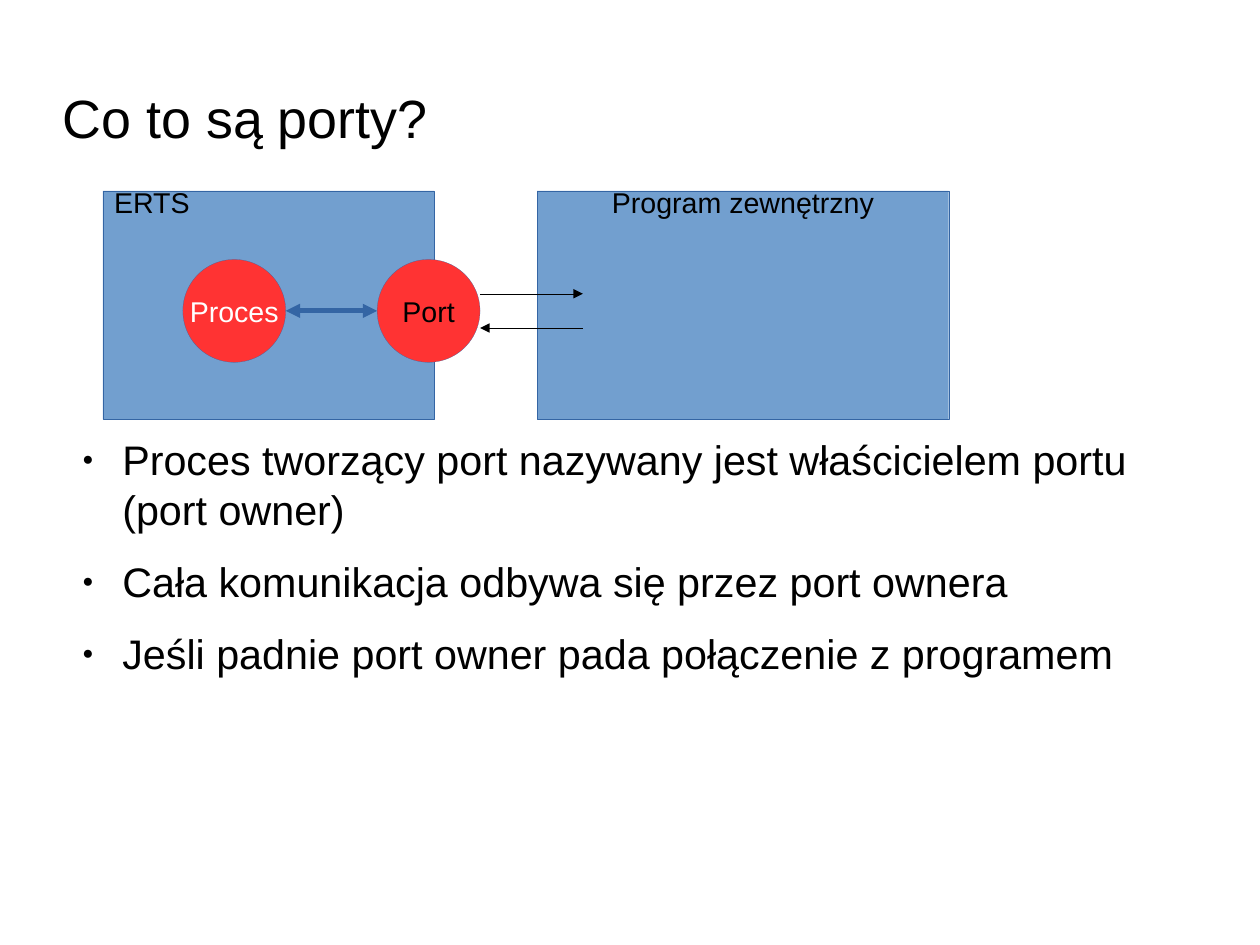
from lxml import etree
from pptx import Presentation
from pptx.dml.color import RGBColor
from pptx.enum.shapes import MSO_CONNECTOR, MSO_SHAPE
from pptx.enum.text import MSO_ANCHOR, PP_ALIGN
from pptx.oxml.ns import qn
from pptx.util import Inches, Pt

STRAIGHT = MSO_CONNECTOR.STRAIGHT
RECTANGLE, OVAL = MSO_SHAPE.RECTANGLE, MSO_SHAPE.OVAL
TOP, MIDDLE = MSO_ANCHOR.TOP, MSO_ANCHOR.MIDDLE
LEFT, CENTER = PP_ALIGN.LEFT, PP_ALIGN.CENTER

BLACK = RGBColor(0x00, 0x00, 0x00)
WHITE = RGBColor(0xFF, 0xFF, 0xFF)
PALE_BLUE = RGBColor(0x72, 0x9F, 0xCF)
DARK_BLUE = RGBColor(0x34, 0x65, 0xA4)
RED = RGBColor(0xFF, 0x33, 0x33)

FONT = "Arial"
HAIRLINE = 0.1
CM_PER_INCH = 2.54
BULLETS = [
    "Proces tworzący port nazywany jest właścicielem portu (port owner)",
    "Cała komunikacja odbywa się przez port ownera",
    "Jeśli padnie port owner pada połączenie z programem",
]


def style_text(para, size, color, align=LEFT):
    """Set the alignment of a paragraph and the font of its runs."""
    para.alignment = align
    for span in para.runs:
        span.font.name = FONT
        span.font.size = Pt(size)
        span.font.color.rgb = color


def add_text_frame(page, left, top, width, height):
    """Add a wrapping text box without margins and return its frame."""
    box = page.shapes.add_textbox(Inches(left), Inches(top), Inches(width), Inches(height))
    frame = box.text_frame
    frame.word_wrap = True
    frame.margin_left = frame.margin_right = 0
    frame.margin_top = frame.margin_bottom = 0
    return frame


def add_node(page, kind, left, top, width, height, fill, label, color=BLACK, align=CENTER):
    """Add a filled shape with a hairline border, labelled at the top if it is a rectangle."""
    node = page.shapes.add_shape(kind, Inches(left), Inches(top), Inches(width), Inches(height))
    node.shadow.inherit = False
    node.fill.solid()
    node.fill.fore_color.rgb = fill
    node.line.color.rgb = DARK_BLUE
    node.line.width = Pt(HAIRLINE)
    frame = node.text_frame
    frame.text = label
    frame.margin_top = frame.margin_bottom = 0
    para = frame.paragraphs[0]
    style_text(para, 18, color, align)
    if kind == RECTANGLE:
        frame.word_wrap = True
        frame.vertical_anchor = TOP
        para.line_spacing = 0.82
    else:
        frame.word_wrap = False
        frame.vertical_anchor = MIDDLE


def add_arrow(page, start, end, y, color=BLACK, width=HAIRLINE, ends=("tailEnd",)):
    """Add a horizontal arrow with triangles at the named ends."""
    arrow = page.shapes.add_connector(STRAIGHT, Inches(start), Inches(y), Inches(end), Inches(y))
    arrow.line.color.rgb = color
    arrow.line.width = Pt(width)
    line = arrow.line._get_or_add_ln()
    for end_name in ends:
        etree.SubElement(line, qn(f"a:{end_name}"), type="triangle")
    etree.SubElement(arrow._element.spPr, qn("a:effectLst"))


def add_title(page, left, top, width, height):
    """Add the slide title, centred vertically in its box."""
    frame = add_text_frame(page, left, top, width, height)
    frame.vertical_anchor = MIDDLE
    frame.text = "Co to są porty?"
    style_text(frame.paragraphs[0], 33.9, BLACK)


def add_diagram(page, left, top, height):
    """Add the runtime, its process and port, and the external program."""
    runtime_width, program_width, gap = 2.9, 3.6, 0.9
    diameter = 0.9
    circle_top = top + 0.6
    process_left = left + 0.7
    port_left = left + 2.4
    process_right = process_left + diameter
    port_right = port_left + diameter
    middle = circle_top + diameter / 2

    add_node(page, RECTANGLE, left, top, runtime_width, height, PALE_BLUE, "ERTS", align=LEFT)
    add_node(page, RECTANGLE, left + runtime_width + gap, top, program_width, height,
             PALE_BLUE, "Program zewnętrzny")
    add_node(page, OVAL, process_left, circle_top, diameter, diameter, RED, "Proces", WHITE)
    add_node(page, OVAL, port_left, circle_top, diameter, diameter, RED, "Port")

    add_arrow(page, process_right, port_left, middle, DARK_BLUE, 3, ("headEnd", "tailEnd"))
    add_arrow(page, port_right, port_right + gap, middle - 0.15)
    add_arrow(page, port_right + gap, port_right, middle + 0.15)


def add_bullets(page, left, top, width, height):
    """Add the bulleted statements about ports."""
    frame = add_text_frame(page, left, top, width, height)
    frame.text = "\n".join(BULLETS)
    for para in frame.paragraphs:
        style_text(para, 26, BLACK)
        para.space_after = Pt(14.2)
        properties = para._p.get_or_add_pPr()
        properties.set("marL", str(Inches(0.47)))
        properties.set("indent", str(Inches(-0.35)))
        etree.SubElement(properties, qn("a:buSzPct"), val="45000")
        etree.SubElement(properties, qn("a:buFont"), typeface=FONT)
        etree.SubElement(properties, qn("a:buChar"), char="●")


def main():
    """Build the slide and save the deck."""
    deck = Presentation()
    deck.slide_width = Inches(28 / CM_PER_INCH)
    deck.slide_height = Inches(21 / CM_PER_INCH)
    page = deck.slides.add_slide(deck.slide_layouts[6])
    add_title(page, 0.55, 0.63, 7.87, 0.79)
    add_diagram(page, 0.9, 1.67, 2)
    add_bullets(page, 0.6, 3.8, 9.92, 3.69)
    deck.save("out.pptx")


if __name__ == "__main__":
    main()
